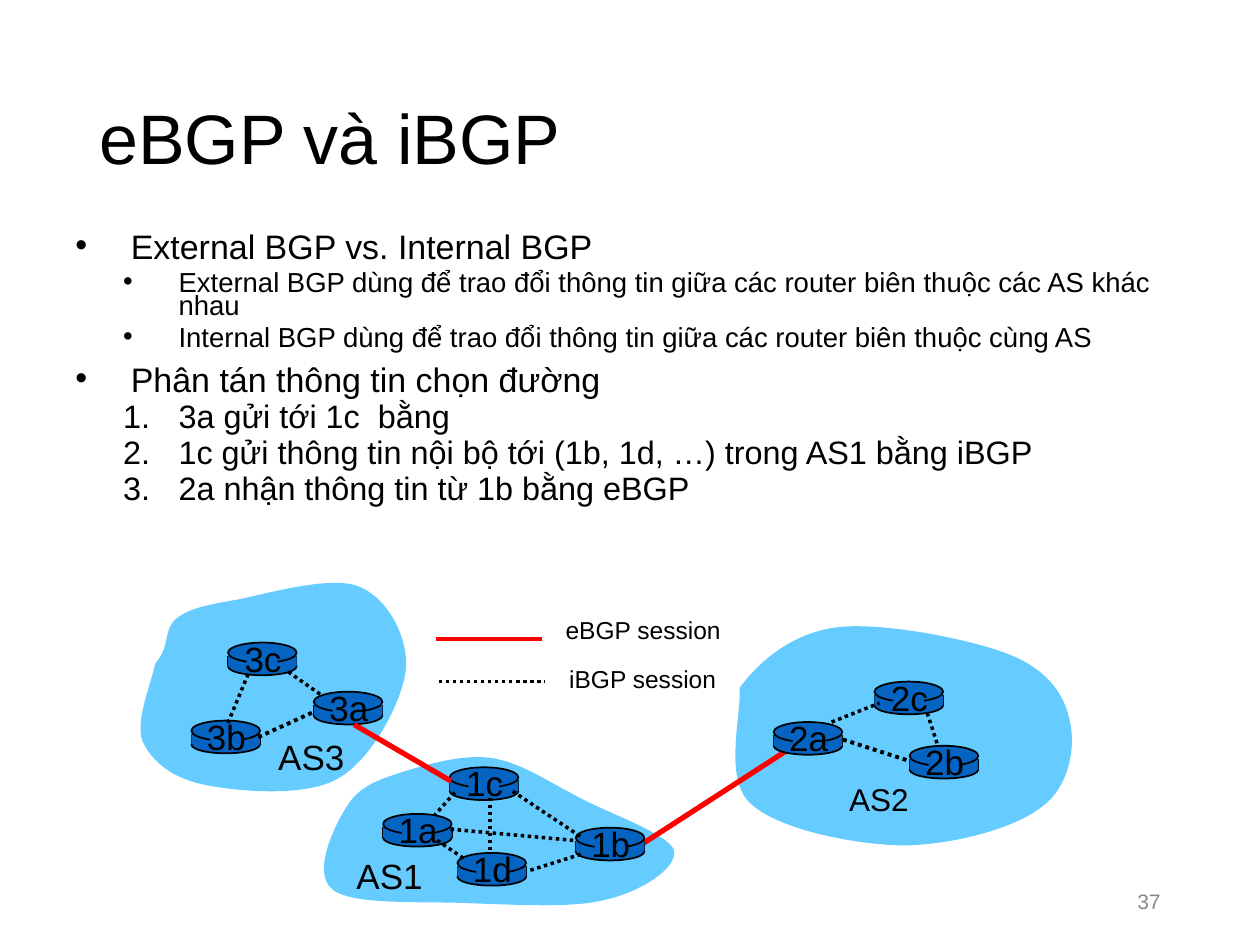
from lxml import etree
from pptx import Presentation
from pptx import util as u
from pptx.dml import color
from pptx.enum import dml, shapes, text
from pptx.oxml import ns

BLACK = color.RGBColor(0x00, 0x00, 0x00)
RED = color.RGBColor(0xFF, 0x00, 0x00)
GRAY = color.RGBColor(0x89, 0x89, 0x89)
ROUTER_BLUE = color.RGBColor(0x05, 0x63, 0xC1)
CLOUD_BLUE = color.RGBColor(0x66, 0xCC, 0xFF)

presentation = Presentation()
presentation.slide_width, presentation.slide_height = u.Pt(720), u.Pt(540)
slide = presentation.slides.add_slide(presentation.slide_layouts[6])


def add_text(box, content, size, font_color=BLACK, frame_format=None, paragraph_format=None):
    frame = slide.shapes.add_textbox(*map(u.Pt, box)).text_frame
    paragraph = frame.paragraphs[0]
    run = paragraph.add_run()
    run.text = content
    run.font.color.rgb = font_color
    for target, values in (
        (frame, {"word_wrap": True} | (frame_format or {})),
        (paragraph, paragraph_format or {}),
        (run.font, {"name": "Arial", "size": u.Pt(size)}),
    ):
        for name, value in values.items():
            setattr(target, name, value)


def add_line(points, width, line_color=BLACK, dash=None):
    line = slide.shapes.add_connector(shapes.MSO_CONNECTOR.STRAIGHT, *map(u.Pt, points))
    line.line.color.rgb = line_color
    line.line.width = u.Pt(width)
    line.line.dash_style = dash
    etree.SubElement(line._element.spPr, ns.qn("a:effectLst"))


MIDDLE = {"vertical_anchor": text.MSO_ANCHOR.MIDDLE}
FIT = {"word_wrap": False, "auto_size": text.MSO_AUTO_SIZE.SHAPE_TO_FIT_TEXT}
CENTER = {"alignment": text.PP_ALIGN.CENTER}
DOTS = dml.MSO_LINE.ROUND_DOT

add_text((49.7, 28.8, 621.4, 104.4), "eBGP và iBGP", 40,
         frame_format=MIDDLE, paragraph_format={"line_spacing": 0.9})

outline = [
    (0, "•", 19.4, "External BGP vs. Internal BGP"),
    (1, "•", 15.7, "External BGP dùng để trao đổi thông tin giữa các router biên thuộc các AS khác nhau"),
    (1, "•", 15.7, "Internal BGP dùng để trao đổi thông tin giữa các router biên thuộc cùng AS"),
    (0, "•", 19.4, "Phân tán thông tin chọn đường"),
    (1, None, 18.5, "3a gửi tới 1c  bằng"),
    (1, None, 18.5, "1c gửi thông tin nội bộ tới (1b, 1d, …) trong AS1 bằng iBGP"),
    (1, None, 18.5, "2a nhận thông tin từ 1b bằng eBGP"),
]
body = slide.shapes.add_textbox(u.Pt(36), u.Pt(131.8), u.Pt(648), u.Pt(162)).text_frame
body.word_wrap = True
for index, (level, bullet, size, content) in enumerate(outline):
    paragraph = body.add_paragraph() if index else body.paragraphs[0]
    properties = paragraph._p.get_or_add_pPr()
    properties.set("marL", str(u.Pt(59 if level else 31.7)))
    properties.set("indent", str(u.Pt(-31.7)))
    etree.SubElement(properties, ns.qn("a:buFont"), typeface="Arial")
    if bullet:
        etree.SubElement(properties, ns.qn("a:buChar"), char=bullet)
    else:
        etree.SubElement(properties, ns.qn("a:buAutoNum"), type="arabicPeriod")
    run = paragraph.add_run()
    run.text = content
    run.font.color.rgb = BLACK
    space = (5 if level else 10) if index else 0
    for target, values in (
        (paragraph, {"level": level, "line_spacing": 0.7, "space_before": u.Pt(space)}),
        (run.font, {"name": "Arial", "size": u.Pt(size)}),
    ):
        for name, value in values.items():
            setattr(target, name, value)

add_text((508.3, 500.4, 162, 28.8), "37", 12, GRAY, MIDDLE,
         {"alignment": text.PP_ALIGN.RIGHT})

clouds = [
    [(422.6, 393.1), (433.4, 378.7), (451.4, 362.2), (477.4, 358.6),
     (502.6, 355), (553.7, 365), (576, 373.7), (598.3, 382.3), (608.4, 396.7), (611.3, 411.8),
     (614.9, 426.2), (611.3, 450), (594.7, 461.5), (578.9, 473.8), (542.9, 483.1), (514.8, 483.1),
     (487.4, 482.4), (443.5, 473.8), (428.4, 458.6), (413.3, 444.2), (424.1, 406.8), (422.6, 393.1)],
    [(88.6, 379.4), (97.9, 368.6), (92.9, 360), (100.8, 353.5),
     (108, 347.8), (118.1, 345.6), (135.4, 342.7), (153.4, 339.1), (190.1, 328.3), (205.9, 335.5),
     (222.5, 342.7), (234, 365.8), (231.8, 383.8), (229, 402.5), (212.4, 434.2), (193, 445),
     (174.2, 455.8), (135.4, 452.2), (117.4, 448.6), (98.6, 445), (86.4, 434.9), (81.4, 423.4),
     (77, 411.8), (87.1, 388.8), (88.6, 379.4)],
    [(198.7, 460.1), (205.9, 448.6), (218.2, 445), (231.8, 440.6),
     (246.2, 436.3), (265.7, 430.6), (282.2, 433.4), (298.8, 436.3), (313.9, 447.1), (331.2, 455.8),
     (348.5, 465.1), (382.3, 476.6), (385.2, 486), (387.4, 496.1), (365.8, 509.8), (346.3, 514.1),
     (327.6, 519.1), (295.2, 517), (269.3, 516.2), (243.4, 514.8), (201.6, 517.7), (190.1, 508.3),
     (177.8, 499), (191.5, 470.9), (198.7, 460.1)],
]
for cloud in clouds:
    (start_x, start_y), *controls = [(100 * x, 100 * y) for x, y in cloud]
    builder = slide.shapes.build_freeform(start_x, start_y, scale=u.Pt(0.01))
    builder.add_line_segments(controls, close=True)
    shape = builder.convert_to_shape()
    shape.shadow.inherit = False
    shape.fill.solid()
    shape.fill.fore_color.rgb = CLOUD_BLUE
    shape.line.fill.background()
    segments = list(shape._element.iter(ns.qn("a:lnTo")))
    for first in range(0, len(segments), 3):
        curve = etree.Element(ns.qn("a:cubicBezTo"))
        segments[first].addprevious(curve)
        for segment in segments[first:first + 3]:
            curve.append(segment[0])
            segment.getparent().remove(segment)

OVAL, RECTANGLE = shapes.MSO_SHAPE.OVAL, shapes.MSO_SHAPE.RECTANGLE
WIDTH = 39.2
router_parts = [
    (OVAL, 0, 8.6, WIDTH, 10.1),
    (RECTANGLE, 0, 7.4, WIDTH, 6.2),
    (OVAL, 0, 0, WIDTH, 11.5),
    (RECTANGLE, 10.8, 1.4, 17.5, 15),
]
back_routers = [("3b", 109.4, 411.8), ("1d", 261.4, 487.4), ("3a", 179.3, 395.3), ("1c", 257, 438.5)]
front_routers = [("2a", 442.1, 412.6), ("1a", 218.9, 465.1), ("2c", 499.7, 389.5),
                 ("2b", 519.8, 426.2), ("1b", 329, 473), ("3c", 130.3, 367.2)]
back_links = [
    ((481.7, 422.6, 519.8, 434.9), 2.25, BLACK, DOTS),
    ((147.6, 421.2, 179.3, 406.8), 2.25, BLACK, DOTS),
    ((202.3, 414, 257.8, 446.4), 3, RED, None),
    ((367.9, 481.7, 449.3, 429.1), 3, RED, None),
]
front_links = [(points, 2, BLACK, DOTS) for points in (
    (259.9, 452.9, 248.4, 465.8), (280.1, 455.8, 280.1, 486.7), (293, 452.2, 331.9, 478.1),
    (331.9, 488.2, 302.4, 497.5), (327.6, 480.2, 257, 473.8), (475.2, 412.6, 502.6, 401.8),
    (182.9, 396.7, 163.4, 383), (141.8, 385.2, 129.6, 414.7), (529.9, 407.5, 535.7, 425.5),
    (249.8, 480.2, 265.7, 491), (250.6, 389.5, 311, 389.5),
)] + [((249.1, 365, 309.6, 365), 2.25, RED, None)]

for routers, links in ((back_routers, back_links), (front_routers, front_links)):
    for label, left, top in routers:
        for kind, dx, dy, width, height in router_parts:
            shape = slide.shapes.add_shape(kind, *map(u.Pt, (left + dx, top + dy, width, height)))
            shape.shadow.inherit = False
            shape.fill.solid()
            shape.fill.fore_color.rgb = ROUTER_BLUE
            if kind == OVAL:
                shape.line.color.rgb = BLACK
                shape.line.width = u.Pt(1)
            else:
                shape.line.fill.background()
            if dy == 8.6:
                for side in (left, left + WIDTH):
                    add_line((side, top + 7.4, side, top + 13.6), 1)
        add_text((left + 1.5, top - 6.6, 37, 31.7), label, 20,
                 frame_format=FIT, paragraph_format=CENTER)
    for link in links:
        add_line(*link)

for content, size, box in (
    ("AS3", 20, (151.9, 416.9, 53, 31.7)),
    ("AS1", 20, (196.6, 484.6, 53, 31.7)),
    ("AS2", 18, (478.1, 442.1, 49, 28.8)),
    ("eBGP session", 14, (316.1, 347.8, 104, 24.5)),
    ("iBGP session", 14, (318.2, 375.8, 100, 24.5)),
):
    add_text(box, content, size, frame_format=FIT)

presentation.save("out.pptx")
